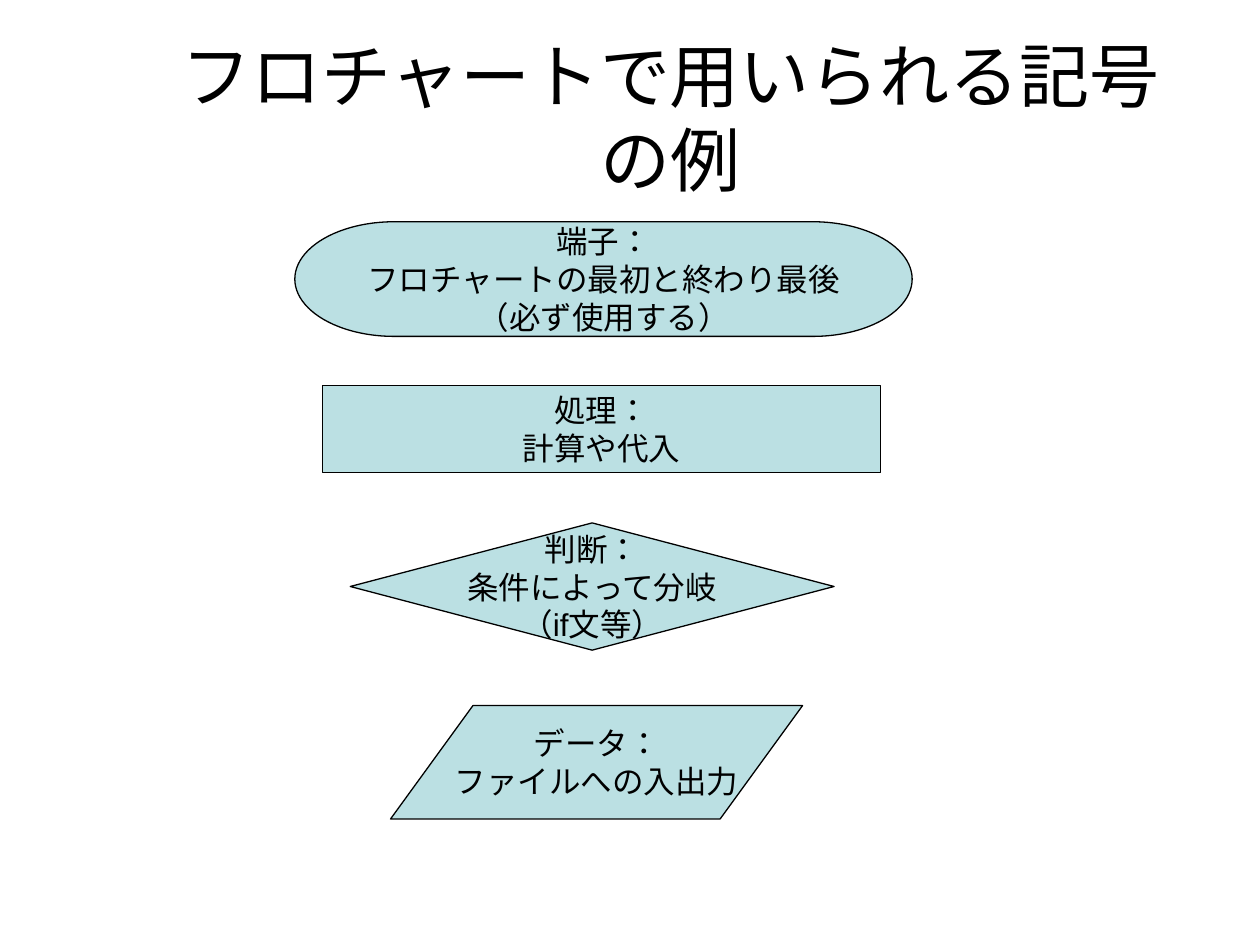
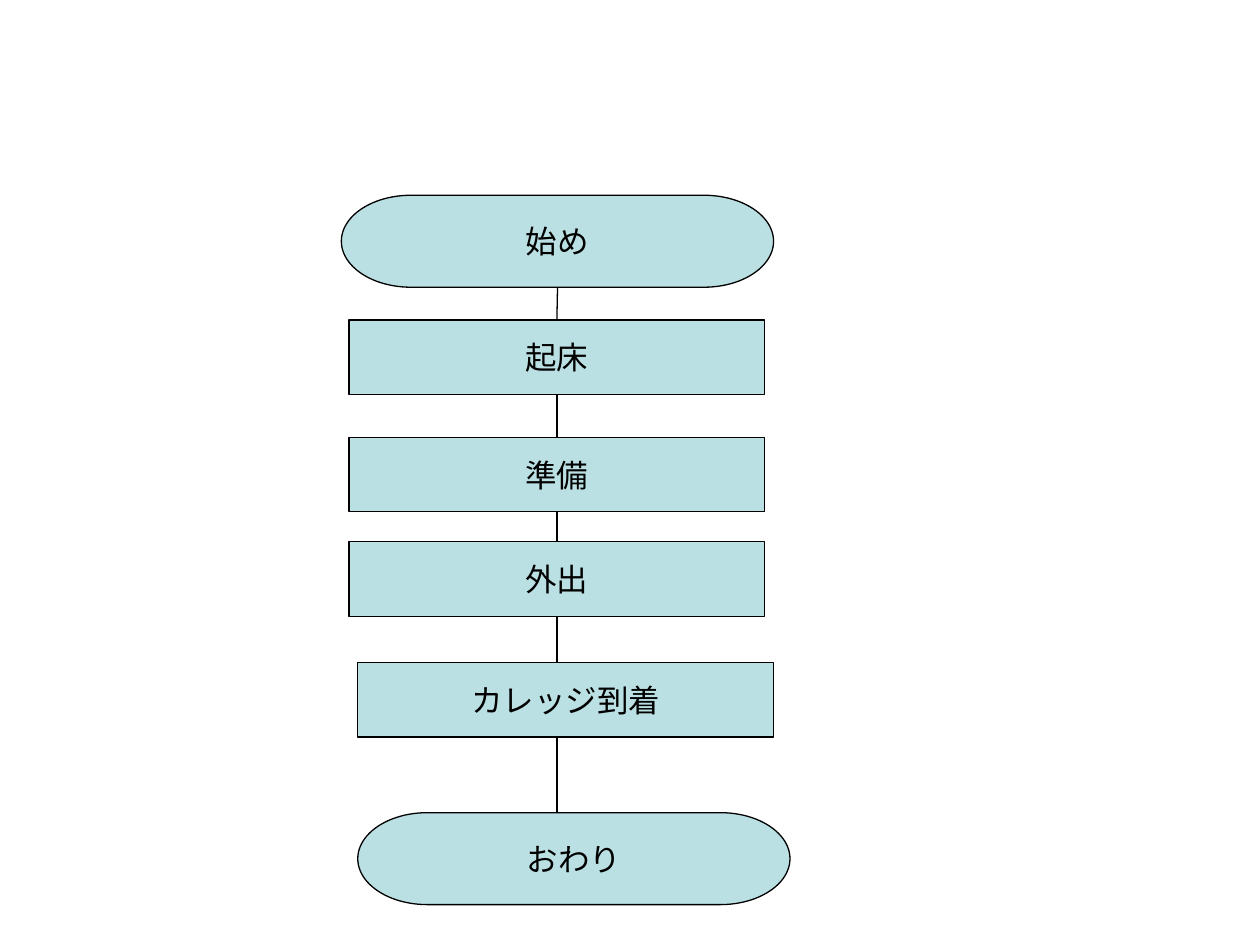
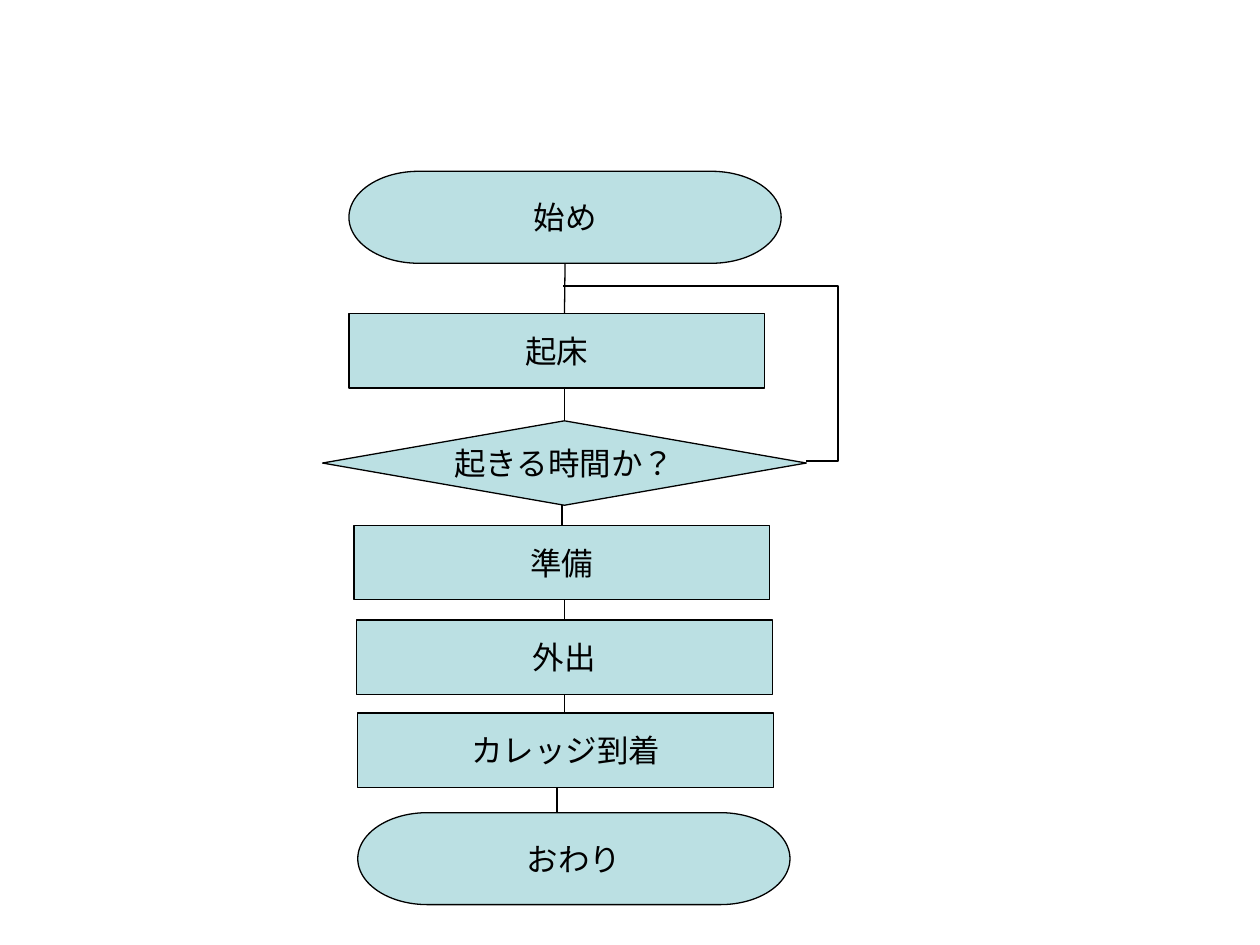
import dataclasses

import lxml.etree
import pptx
import pptx.dml.color
import pptx.enum.lang
import pptx.enum.shapes
import pptx.enum.text
import pptx.oxml.ns
import pptx.util

SHAPE = pptx.enum.shapes.MSO_SHAPE
CONNECTOR = pptx.enum.shapes.MSO_CONNECTOR
TOP, BOTTOM = 0, 2


@dataclasses.dataclass(frozen=True)
class Theme:
    font: str = "Arial"
    ink: str = "000000"
    symbol_fill: str = "BBE0E3"
    title_size: int = 40
    label_size: int = 18
    line_width: float = 0.75


class FlowchartDeck:
    """Places elements on a grid of 100 columns by 75 rows."""

    columns, rows = 100, 75

    def __init__(self, theme):
        self.theme = theme
        self.deck = pptx.Presentation()
        self.deck.slide_width = pptx.util.Inches(10)
        self.deck.slide_height = pptx.util.Inches(7.5)
        self.slide = None

    def add_page(self):
        self.slide = self.deck.slides.add_slide(self.deck.slide_layouts[6])

    def x(self, column):
        return round(self.deck.slide_width * column / self.columns)

    def y(self, row):
        return round(self.deck.slide_height * row / self.rows)

    def area(self, left, top, width, height):
        return self.x(left), self.y(top), self.x(width), self.y(height)

    @staticmethod
    def color(value):
        return pptx.dml.color.RGBColor.from_string(value)

    def set_text(self, box, text, size, wrap):
        frame = box.text_frame
        frame.text = text
        frame.word_wrap = wrap
        frame.vertical_anchor = pptx.enum.text.MSO_ANCHOR.MIDDLE
        for para in frame.paragraphs:
            para.alignment = pptx.enum.text.PP_ALIGN.CENTER
            for span in para.runs:
                span.font.name = self.theme.font
                span.font.size = pptx.util.Pt(size)
                span.font.color.rgb = self.color(self.theme.ink)
                span.font.language_id = pptx.enum.lang.MSO_LANGUAGE_ID.JAPANESE

    def stroke(self, line):
        line.color.rgb = self.color(self.theme.ink)
        line.width = pptx.util.Pt(self.theme.line_width)

    def title(self, text, left, top, width, height):
        box = self.slide.shapes.add_textbox(*self.area(left, top, width, height))
        self.set_text(box, text, self.theme.title_size, wrap=True)

    def symbol(self, kind, text, left, top, width, height):
        box = self.slide.shapes.add_shape(kind, *self.area(left, top, width, height))
        box.shadow.inherit = False
        box.fill.solid()
        box.fill.fore_color.rgb = self.color(self.theme.symbol_fill)
        self.stroke(box.line)
        self.set_text(box, text, self.theme.label_size, wrap=False)
        return box

    def connector(self, kind, *ends):
        line = self.slide.shapes.add_connector(kind, *ends)
        self.stroke(line.line)
        lxml.etree.SubElement(line._element.spPr, pptx.oxml.ns.qn("a:effectLst"))
        return line

    def link(self, upper, lower, column):
        """Draws a vertical line, joined to each symbol whose centre it meets."""
        x = self.x(column)
        line = self.connector(CONNECTOR.STRAIGHT, x, upper.top + upper.height, x, lower.top)
        tolerance = self.x(0.06)
        if abs(upper.left + upper.width / 2 - x) <= tolerance:
            line.begin_connect(upper, BOTTOM)
        if abs(lower.left + lower.width / 2 - x) <= tolerance:
            line.end_connect(lower, TOP)

    def loop_back(self, start, end, bend):
        """Draws an elbow whose bend is a share of its width from the start."""
        line = self.connector(CONNECTOR.ELBOW, self.x(start[0]), self.y(start[1]),
                              self.x(end[0]), self.y(end[1]))
        adjustments = line._element.spPr.find(".//" + pptx.oxml.ns.qn("a:avLst"))
        guide = lxml.etree.SubElement(adjustments, pptx.oxml.ns.qn("a:gd"))
        guide.set("name", "adj1")
        guide.set("fmla", f"val {round(bend * 100000)}")

    def flow(self, steps, link_columns):
        """Places the steps from top to bottom and links each to the next."""
        boxes = [self.symbol(kind, text, left, top, *STEP_SIZES[kind])
                 for kind, text, left, top in steps]
        for upper, lower, column in zip(boxes, boxes[1:], link_columns):
            self.link(upper, lower, column)


# Sizes of the steps in columns and rows
STEP_SIZES = {
    SHAPE.FLOWCHART_TERMINATOR: (34.3, 7.3),
    SHAPE.FLOWCHART_PROCESS: (33, 5.9),
    SHAPE.FLOWCHART_DECISION: (38.4, 6.7),
}

# Symbol, text, left, top, width, height
SYMBOL_EXAMPLES = [
    (SHAPE.FLOWCHART_TERMINATOR, "端子：\nフロチャートの最初と終わり最後\n（必ず使用する）",
     23.4, 17.6, 49, 9.1),
    (SHAPE.FLOWCHART_PROCESS, "処理：\n計算や代入", 25.6, 30.6, 44.3, 6.9),
    (SHAPE.FLOWCHART_DECISION, "判断：\n条件によって分岐\n（if文等）", 27.8, 41.5, 38.4, 10.1),
    (SHAPE.FLOWCHART_DATA, "データ：\nファイルへの入出力", 31, 56, 32.7, 9),
]

# Symbol, text, left, top
MORNING_STEPS = [
    (SHAPE.FLOWCHART_TERMINATOR, "始め", 27.1, 15.5),
    (SHAPE.FLOWCHART_PROCESS, "起床", 27.7, 25.4),
    (SHAPE.FLOWCHART_PROCESS, "準備", 27.7, 34.7),
    (SHAPE.FLOWCHART_PROCESS, "外出", 27.7, 43),
    (SHAPE.FLOWCHART_PROCESS, "カレッジ到着", 28.4, 52.6),
    (SHAPE.FLOWCHART_TERMINATOR, "おわり", 28.4, 64.5),
]
DECISION_STEPS = [
    (SHAPE.FLOWCHART_TERMINATOR, "始め", 27.7, 13.6),
    (SHAPE.FLOWCHART_PROCESS, "起床", 27.7, 24.9),
    (SHAPE.FLOWCHART_DECISION, "起きる時間か？", 25.6, 33.4),
    (SHAPE.FLOWCHART_PROCESS, "準備", 28.1, 41.7),
    (SHAPE.FLOWCHART_PROCESS, "外出", 28.3, 49.2),
    (SHAPE.FLOWCHART_PROCESS, "カレッジ到着", 28.4, 56.6),
    (SHAPE.FLOWCHART_TERMINATOR, "おわり", 28.4, 64.5),
]


def main():
    show = FlowchartDeck(Theme())

    # Symbols and their meanings
    show.add_page()
    show.title("フロチャートで用いられる記号の例", 11.4, 3, 83.6, 12.5)
    for example in SYMBOL_EXAMPLES:
        show.symbol(*example)

    # Straight sequence
    show.add_page()
    show.flow(MORNING_STEPS, [44.2] * 5)

    # Sequence with a decision that loops back
    show.add_page()
    show.flow(DECISION_STEPS, [44.8, 44.8, 44.6, 44.8, 44.8, 44.2])
    show.loop_back(start=(64, 36.6), end=(44.7, 22.7), bend=-0.13)

    show.deck.save("out.pptx")


if __name__ == "__main__":
    main()
